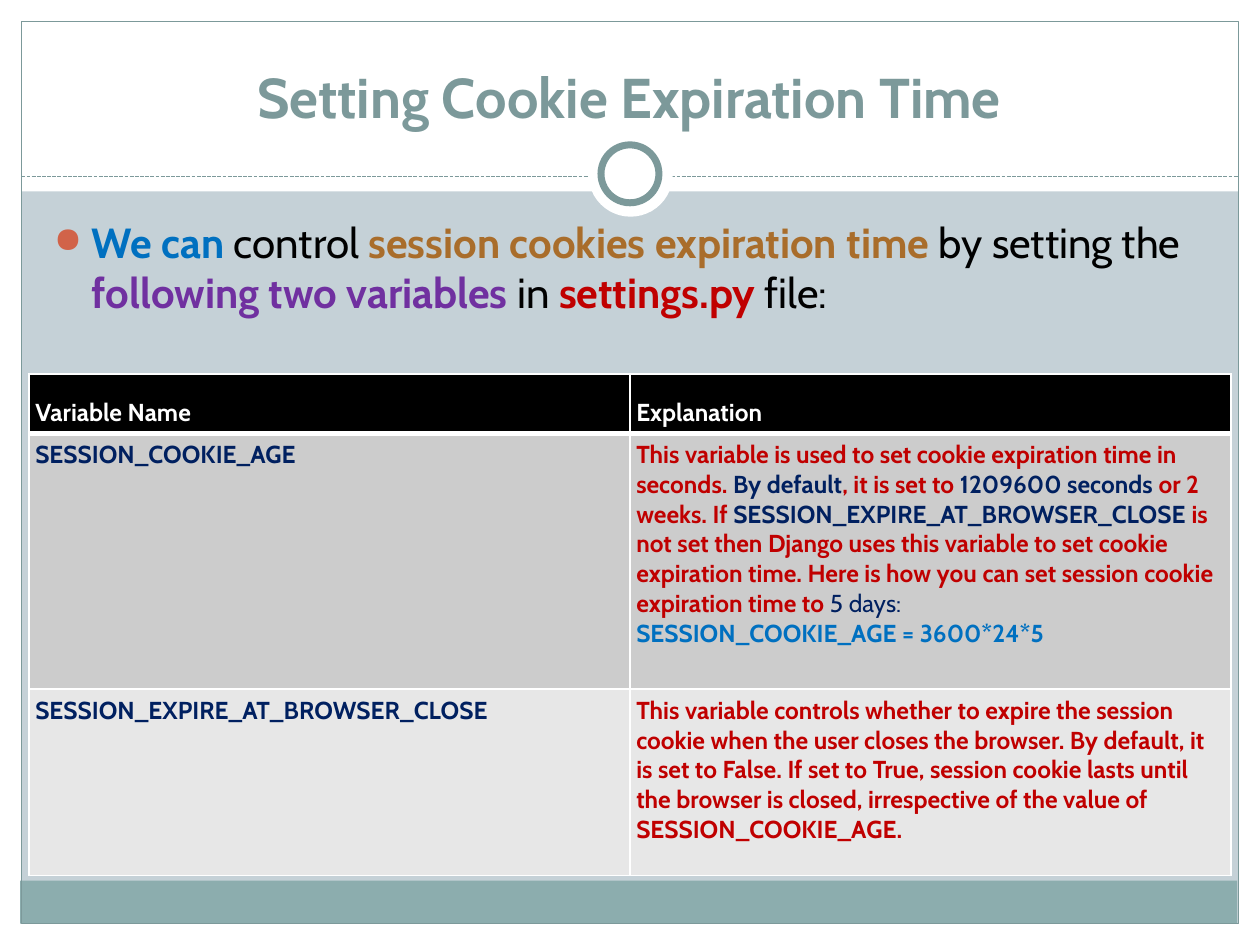
from lxml.etree import SubElement
from pptx import Presentation
from pptx.dml.color import RGBColor
from pptx.enum.dml import MSO_LINE
from pptx.enum.shapes import MSO_CONNECTOR, MSO_SHAPE
from pptx.enum.text import MSO_ANCHOR, PP_ALIGN
from pptx.oxml.ns import qn
from pptx.util import Inches, Pt

INK = {
    "white": "FFFFFF", "black": "000000", "back": "C5D1D7", "band": "8CADAE",
    "teal": "7C999A", "dot": "D16349", "blue": "0070C0", "brown": "A96D2B",
    "purple": "7030A0", "red": "C00000", "navy": "002060",
    "dark": "CCCCCC", "light": "E7E7E7",
}
FONT = "Cabin"

# Content: each run is (text, colour, bold)
TITLE = [("Setting Cookie Expiration Time", "teal", True)]
INTRO = [
    ("We can ", "blue", True), ("control ", "black", False),
    ("session cookies expiration time ", "brown", True),
    ("by setting the ", "black", False),
    ("following two variables ", "purple", True), ("in ", "black", False),
    ("settings.py", "red", True), (" file:", "black", False),
]
AGE = [
    ("This variable is used to set cookie expiration time in seconds. ", "red", True),
    ("By default", "navy", True), (", it is set to ", "red", True),
    ("1209600 seconds ", "navy", True), ("or 2 weeks. If ", "red", True),
    ("SESSION_EXPIRE_AT_BROWSER_CLOSE", "navy", True),
    (" is not set then Django uses this variable to set cookie expiration time. "
     "Here is how you can set session cookie expiration time to ", "red", True),
    ("5 days: ", "navy", False),
]
CODE = [("SESSION_COOKIE_AGE = 3600*24*5", "blue", True)]
CLOSE = [
    ("This variable controls whether to expire the session cookie when the user "
     "closes the browser. By default, it is set to False. If set to True, "
     "session cookie lasts until the browser is closed, irrespective of the value "
     "of SESSION_COOKIE_AGE.", "red", True),
]
# Rows: height, fill, cells as lists of paragraphs
ROWS = [
    (0.47, "black", [[[("Variable Name", "white", True)]],
                     [[("Explanation", "white", True)]]]),
    (2.03, "dark", [[[("SESSION_COOKIE_AGE", "navy", True)]], [AGE, CODE]]),
    (1.48, "light", [[[("SESSION_EXPIRE_AT_BROWSER_CLOSE", "navy", True)]], [CLOSE]]),
]
# Frame parts: shape, box, fill, line, line width
RECT, OVAL = MSO_SHAPE.RECTANGLE, MSO_SHAPE.OVAL
PARTS = [
    (RECT, (0, 7.33, 10, 0.17), "white", None, 0),
    (RECT, (0, 0, 10, 1.52), "white", None, 0),
    (RECT, (0, 0, 0.17, 7.5), "white", None, 0),
    (RECT, (9.83, 0, 0.17, 7.5), "white", None, 0),
    (RECT, (0.16, 6.99, 9.66, 0.34), "band", None, 0),
    (RECT, (0.17, 0.17, 9.66, 7.16), None, "teal", 0.75),
]
RING = [
    (OVAL, (4.67, 1.05, 0.67, 0.67), "white", None, 0),
    (OVAL, (4.77, 1.15, 0.46, 0.46), "white", "teal", 4),
]


def tint(name):
    return RGBColor.from_string(INK[name])


def paint(fill, name):
    if name:
        fill.solid()
        fill.fore_color.rgb = tint(name)
    else:
        fill.background()


def draw(parts):
    for kind, box, fill, line, width in parts:
        shape = slide.shapes.add_shape(kind, *map(Inches, box))
        shape.shadow.inherit = False
        paint(shape.fill, fill)
        paint(shape.line.fill, line)
        if line:
            shape.line.width = Pt(width)


def write(para, runs, size):
    for text, color, bold in runs:
        run = para.add_run()
        run.text = text
        font = run.font
        font.name, font.size, font.bold = FONT, Pt(size), bold
        font.color.rgb = tint(color)


def textbox(*box):
    frame = slide.shapes.add_textbox(*map(Inches, box)).text_frame
    frame.word_wrap = True
    return frame


def bullet(para):
    props = para._p.get_or_add_pPr()
    props.set("marL", str(Inches(0.3)))
    props.set("indent", str(-Inches(0.3)))
    color = SubElement(props, qn("a:buClr"))
    SubElement(color, qn("a:srgbClr"), val=INK["dot"])
    SubElement(props, qn("a:buSzPct"), val="85000")
    SubElement(props, qn("a:buChar"), char="●")


def border(cell, low):
    props = cell._tc.get_or_add_tcPr()
    for side in "LRTB":
        width = low if side == "B" else 1
        line = SubElement(props, qn("a:ln" + side), w=str(Pt(width)))
        fill = SubElement(line, qn("a:solidFill"))
        SubElement(fill, qn("a:srgbClr"), val=INK["white"])


deck = Presentation()
deck.slide_width, deck.slide_height = Inches(10), Inches(7.5)
slide = deck.slides.add_slide(deck.slide_layouts[6])
paint(slide.background.fill, "back")

# Frame, dashed rule and ring
draw(PARTS)
rule = slide.shapes.add_connector(
    MSO_CONNECTOR.STRAIGHT, *map(Inches, (0.17, 1.4, 9.83, 1.4)))
rule.line.color.rgb = tint("teal")
rule.line.width = Pt(0.75)
rule.line.dash_style = MSO_LINE.SQUARE_DOT
SubElement(rule._element.spPr, qn("a:effectLst"))
draw(RING)

# Intro bullet
para = textbox(0.33, 1.67, 9.3, 1.2).paragraphs[0]
bullet(para)
write(para, INTRO, 24)

# Title
frame = textbox(0.33, 0.25, 9.33, 0.83)
frame.vertical_anchor = MSO_ANCHOR.BOTTOM
frame.paragraphs[0].alignment = PP_ALIGN.CENTER
write(frame.paragraphs[0], TITLE, 32)

# Table of variables
high = sum(row[0] for row in ROWS)
table = slide.shapes.add_table(
    len(ROWS), 2, *map(Inches, (0.23, 2.97, 9.53, high))).table
for col in table.columns:
    col.width = Inches(4.77)
for r, (tall, fill, cells) in enumerate(ROWS):
    table.rows[r].height = Inches(tall)
    for c, paras in enumerate(cells):
        cell = table.cell(r, c)
        cell.margin_left = cell.margin_right = Inches(0.05)
        cell.margin_top = cell.margin_bottom = Inches(0.05)
        cell.vertical_anchor = MSO_ANCHOR.TOP if r else MSO_ANCHOR.BOTTOM
        border(cell, 1 if r else 3)
        paint(cell.fill, fill)
        for i, runs in enumerate(paras):
            frame = cell.text_frame
            para = frame.add_paragraph() if i else frame.paragraphs[0]
            write(para, runs, 14)

deck.save("out.pptx")
